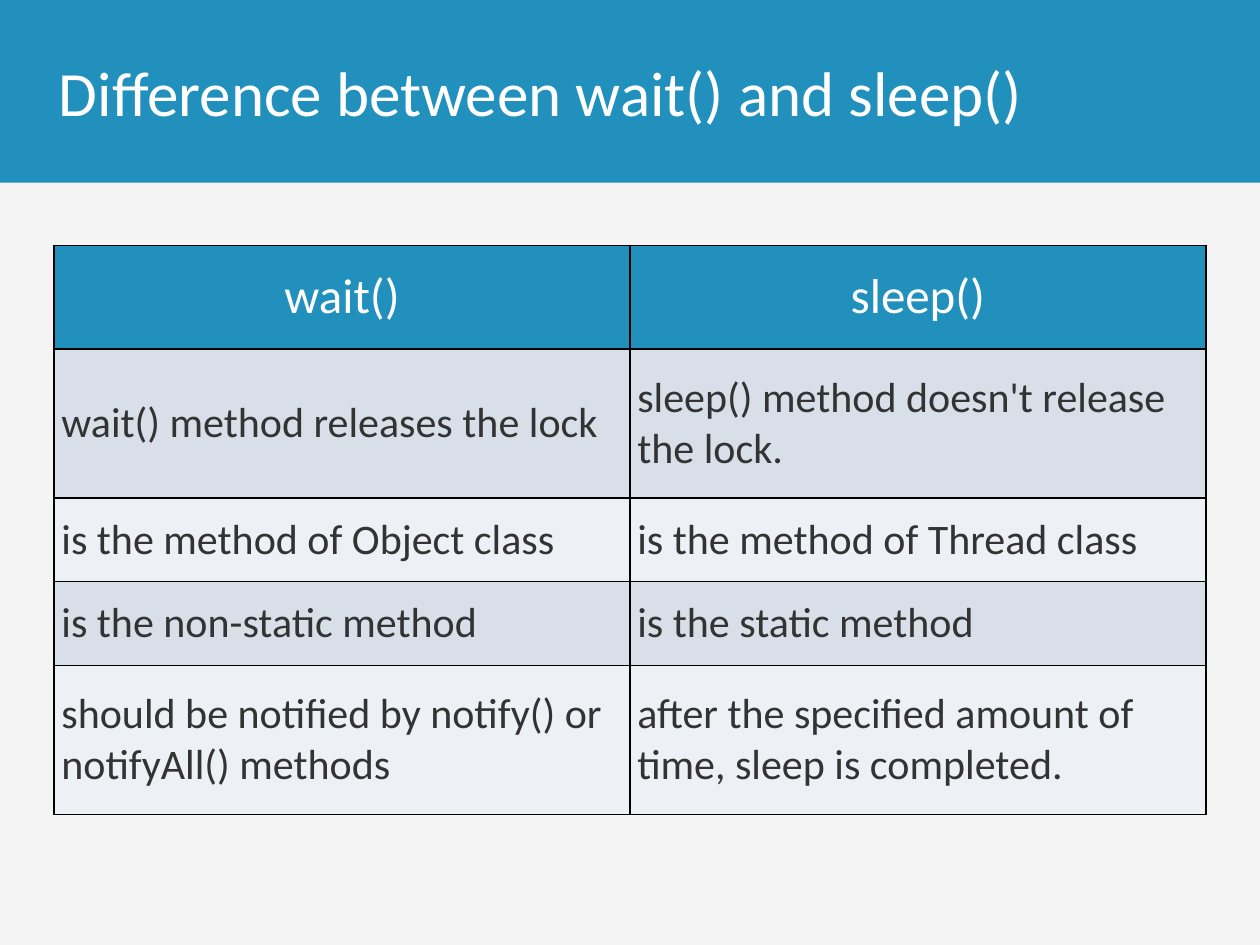
import pptx
import pptx.dml.color
import pptx.enum.shapes
import pptx.enum.text
import pptx.oxml
import pptx.oxml.ns
import pptx.util

Pt = pptx.util.Pt
MIDDLE = pptx.enum.text.MSO_ANCHOR.MIDDLE
LEFT = pptx.enum.text.PP_ALIGN.LEFT
CENTER = pptx.enum.text.PP_ALIGN.CENTER

BLUE, WHITE, DARK, BLACK = "2190BC", "FFFFFF", "333333", "000000"
BACKGROUND = "F4F4F5"
BANDS = ("D8DFE9", "EDF0F4")

ROWS = [
    ("wait()", "sleep()"),
    ("wait() method releases the lock", "sleep() method doesn't release the lock."),
    ("is the method of Object class", "is the method of Thread class"),
    ("is the non-static method", "is the static method"),
    ("should be notified by notify() or notifyAll() methods",
     "after the specified amount of time, sleep is completed."),
]
ROW_HEIGHTS = (59.2, 85.2, 47.8, 47.8, 85.2)
COLUMN_WIDTH = 329.1


def color(value):
    return pptx.dml.color.RGBColor.from_string(value)


def set_fill(item, value):
    item.fill.solid()
    item.fill.fore_color.rgb = color(value)


def write(frame, text, size, text_color, align=LEFT):
    frame.text = text
    frame.word_wrap = True
    para = frame.paragraphs[0]
    para.alignment = align
    for span in para.runs:
        span.font.name = "Calibri"
        span.font.size = Pt(size)
        span.font.color.rgb = color(text_color)


def add_band(page, width, height):
    band = page.shapes.add_shape(
        pptx.enum.shapes.MSO_SHAPE.RECTANGLE, 0, 0, width, height)
    band.shadow.inherit = False
    set_fill(band, BLUE)
    band.line.fill.background()


def add_title(page, text, height):
    box = page.shapes.add_textbox(Pt(26.6), 0, Pt(620.6), height)
    box.text_frame.vertical_anchor = MIDDLE
    write(box.text_frame, text, 36, WHITE)


def add_borders(cell):
    properties = cell._tc.get_or_add_tcPr()
    for side in "LRTB":
        properties.append(pptx.oxml.parse_xml(
            f'<a:ln{side} {pptx.oxml.ns.nsdecls("a")} w="{Pt(1)}">'
            f'<a:solidFill><a:srgbClr val="{BLACK}"/></a:solidFill></a:ln{side}>'))


def style_cell(cell, text, row_index):
    header = row_index == 0
    inset = Pt(6 if header else 4.2)
    cell.margin_left = cell.margin_right = inset
    cell.margin_top = cell.margin_bottom = inset
    cell.vertical_anchor = MIDDLE
    add_borders(cell)
    if header:
        set_fill(cell, BLUE)
        write(cell.text_frame, text, 28, WHITE, CENTER)
    else:
        set_fill(cell, BANDS[(row_index - 1) % 2])
        write(cell.text_frame, text, 24, DARK)


def add_comparison(page):
    table = page.shapes.add_table(
        len(ROWS), 2, Pt(30.9), Pt(140.2),
        Pt(2 * COLUMN_WIDTH), Pt(sum(ROW_HEIGHTS))).table
    for column in table.columns:
        column.width = Pt(COLUMN_WIDTH)
    for row_index, (texts, height) in enumerate(zip(ROWS, ROW_HEIGHTS)):
        table.rows[row_index].height = Pt(height)
        for column_index, text in enumerate(texts):
            style_cell(table.cell(row_index, column_index), text, row_index)


def main():
    deck = pptx.Presentation()
    deck.slide_width, deck.slide_height = Pt(720), Pt(540)
    page = deck.slides.add_slide(deck.slide_layouts[6])
    set_fill(page.background, BACKGROUND)

    # Heading band and title
    band_height = Pt(104.4)
    add_band(page, deck.slide_width, band_height)
    add_title(page, "Difference between wait() and sleep()", band_height)

    # Comparison table
    add_comparison(page)
    deck.save("out.pptx")


if __name__ == "__main__":
    main()
